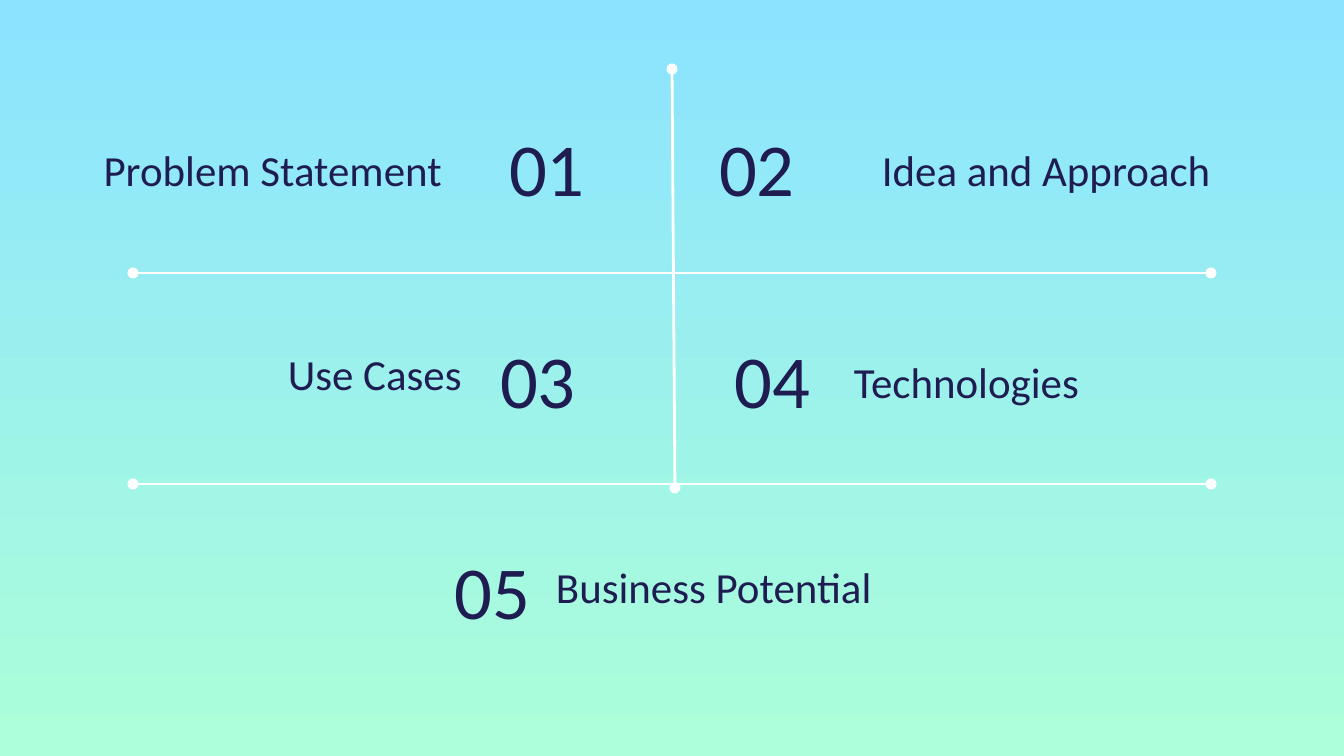
from lxml.etree import SubElement
from pptx import Presentation
from pptx.dml.color import RGBColor
from pptx.enum.shapes import MSO_CONNECTOR
from pptx.enum.text import MSO_ANCHOR, PP_ALIGN
from pptx.oxml.ns import qn
from pptx.util import Emu, Pt

EMU_PER_PX = 914400 / 134.4
INK = "1F1C51"
WHITE = "FFFFFF"
INSET = 13
NUMBER_SIZE = (175, 116)
TOPIC_HEIGHT = 67

NUMBERS = [
    ("01", 496, 109, PP_ALIGN.LEFT),
    ("02", 706, 109, PP_ALIGN.LEFT),
    ("03", 487, 321, PP_ALIGN.LEFT),
    ("04", 648, 321, PP_ALIGN.RIGHT),
    ("05", 368, 532, PP_ALIGN.RIGHT),
]
TOPICS = [
    ("Problem Statement", 46, 141, 454, PP_ALIGN.CENTER),
    ("Idea and Approach", 824, 141, 400, PP_ALIGN.RIGHT),
    ("Use Cases", 41, 345, 434, PP_ALIGN.RIGHT),
    ("Technologies", 841, 353, 400, PP_ALIGN.LEFT),
    ("Business Potential", 543, 558, 400, PP_ALIGN.LEFT),
]
DIVIDERS = [
    (672, 69, 675, 488),
    (133, 273, 1211, 273),
    (133, 484, 1211, 484),
]


def px(length):
    """Turn pixels into EMU."""
    return Emu(round(length * EMU_PER_PX))


def color(code):
    """Turn a hex string into a colour."""
    return RGBColor.from_string(code)


def paint_background(slide, top, bottom):
    """Fill the background with a gradient running downwards."""
    fill = slide.background.fill
    fill.gradient()
    fill.gradient_angle = 270
    for stop, code in zip(fill.gradient_stops, (top, bottom)):
        stop.color.rgb = color(code)


def add_label(slide, wording, box, size, align, anchor):
    """Add one line of dark Calibri text."""
    frame = slide.shapes.add_textbox(*map(px, box)).text_frame
    frame.word_wrap = True
    frame.vertical_anchor = anchor
    frame.margin_left = frame.margin_right = px(INSET)
    frame.margin_top = frame.margin_bottom = px(INSET)
    frame.text = wording
    paragraph = frame.paragraphs[0]
    paragraph.alignment = align
    font = paragraph.runs[0].font
    font.name = "Calibri"
    font.size = Pt(size)
    font.color.rgb = color(INK)


def add_divider(slide, ends):
    """Add a white line with a dot at each end."""
    divider = slide.shapes.add_connector(MSO_CONNECTOR.STRAIGHT, *map(px, ends))
    divider.line.color.rgb = color(WHITE)
    divider.line.width = Pt(1.5)
    properties = divider.element.spPr
    outline = properties.find(qn("a:ln"))
    for end in ("a:headEnd", "a:tailEnd"):
        SubElement(outline, qn(end), type="oval")
    SubElement(properties, qn("a:effectLst"))


def main():
    """Build the contents slide."""
    deck = Presentation()
    deck.slide_width, deck.slide_height = px(1344), px(756)
    slide = deck.slides.add_slide(deck.slide_layouts[6])
    paint_background(slide, "8BE3FF", "ACFFD9")
    for ends in DIVIDERS:
        add_divider(slide, ends)
    for number, left, top, align in NUMBERS:
        add_label(slide, number, (left, top, *NUMBER_SIZE), 40, align, MSO_ANCHOR.MIDDLE)
    for topic, left, top, width, align in TOPICS:
        add_label(slide, topic, (left, top, width, TOPIC_HEIGHT), 23, align, MSO_ANCHOR.BOTTOM)
    deck.save("out.pptx")


if __name__ == "__main__":
    main()
